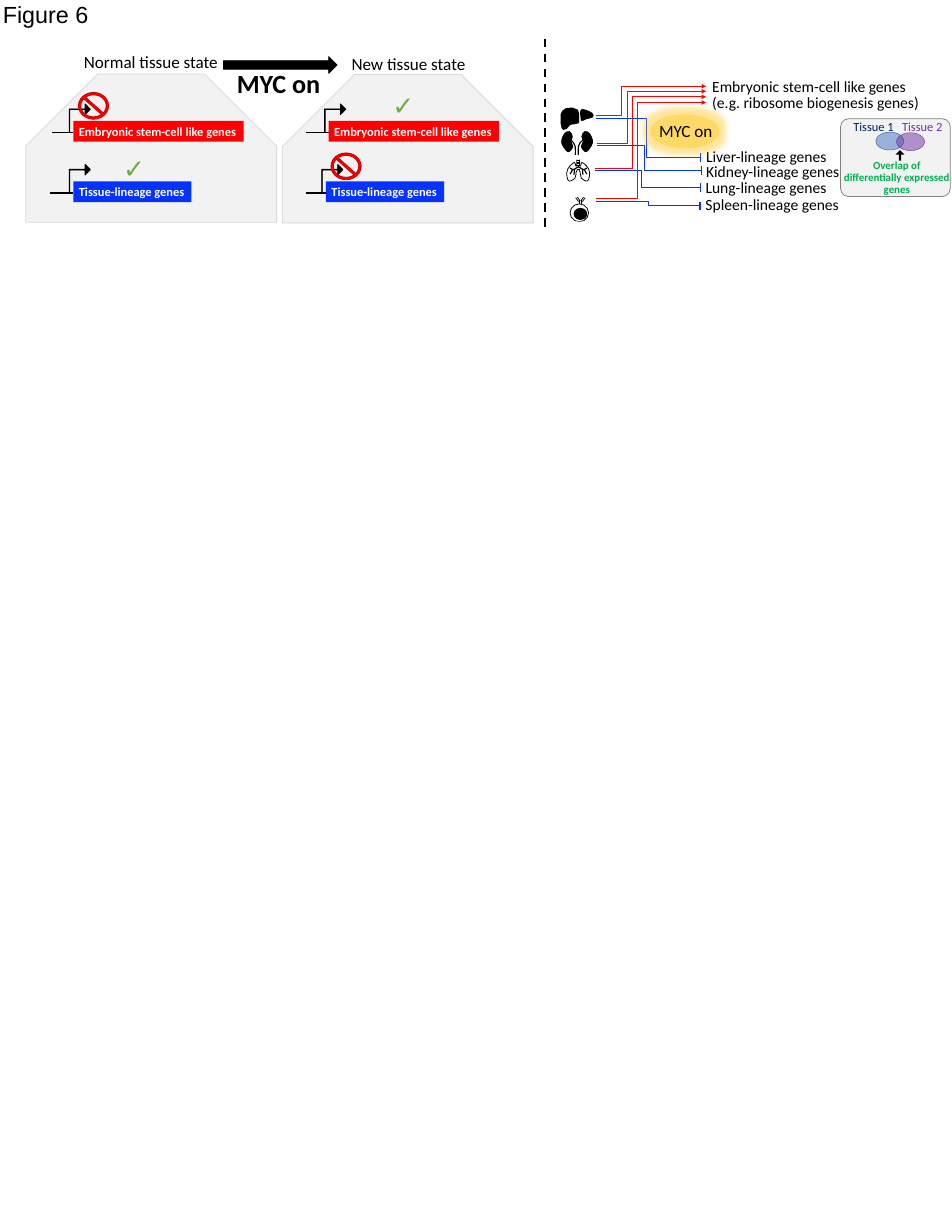
from dataclasses import dataclass

from lxml import etree
from pptx import Presentation
from pptx.dml.color import RGBColor
from pptx.enum.dml import MSO_LINE
from pptx.enum.shapes import MSO_CONNECTOR, MSO_SHAPE
from pptx.enum.text import MSO_ANCHOR, MSO_AUTO_SIZE, PP_ALIGN
from pptx.oxml.ns import qn
from pptx.util import Pt

PX = 9144
STRAIGHT, ELBOW = MSO_CONNECTOR.STRAIGHT, MSO_CONNECTOR.ELBOW
LEFT, CENTER = PP_ALIGN.LEFT, PP_ALIGN.CENTER
TOP, GROW, DASH = MSO_ANCHOR.TOP, MSO_AUTO_SIZE.SHAPE_TO_FIT_TEXT, MSO_LINE.DASH
OVAL, RECTANGLE, CHORD = MSO_SHAPE.OVAL, MSO_SHAPE.RECTANGLE, MSO_SHAPE.CHORD
ROUNDED, SNIPPED = MSO_SHAPE.ROUNDED_RECTANGLE, MSO_SHAPE.SNIP_2_SAME_RECTANGLE
BENT_ARROW, STOP = MSO_SHAPE.BENT_UP_ARROW, MSO_SHAPE.NO_SYMBOL
RIGHT_ARROW, DOWN_ARROW = MSO_SHAPE.RIGHT_ARROW, MSO_SHAPE.DOWN_ARROW


@dataclass(frozen=True)
class Theme:
    """Colours, fonts and type sizes of the figure."""
    black: str = "000000"
    white: str = "FFFFFF"
    panel: str = "F2F2F2"
    panel_edge: str = "D9D9D9"
    inset_edge: str = "808080"
    red: str = "FF0000"
    dark_red: str = "C00000"
    blue: str = "0432FF"
    gold: str = "FFD966"
    glow: str = "FFC000"
    check: str = "70AD47"
    overlap: str = "00B050"
    navy: str = "002060"
    purple: str = "7030A0"
    venn_blue: str = "4472C4"
    venn_edge: str = "2F5597"
    title_font: str = "Arial"
    font: str = "Calibri"
    title: float = 30
    large: float = 33.7
    heading: float = 22
    label: float = 20
    small: float = 16
    note: float = 14


THEME = Theme()
LIVER = [(1006, 232), (1003, 229), (1001, 220), (1001, 204), (1004, 198), (1011, 193),
         (1022, 192), (1032, 196), (1034, 202), (1034, 220), (1026, 222), (1022, 222),
         (1017, 224), (1016, 226), (1013, 229), (1013, 230)]
LIVER_LOBE = [(1038, 196), (1041, 194), (1053, 199), (1057, 202), (1060, 204), (1060, 208),
              (1058, 209), (1057, 211), (1050, 210), (1047, 212), (1044, 213), (1038, 217),
              (1038, 217), (1036, 217), (1039, 219), (1038, 216), (1038, 213), (1035, 199),
              (1038, 196)]
KIDNEY = [(1019, 252), (1019, 249), (1023, 247), (1022, 244), (1022, 241), (1019, 236),
          (1017, 235), (1014, 235), (1010, 235), (1008, 239), (1006, 242), (1002, 249),
          (1003, 255), (1004, 260), (1011, 270), (1014, 271), (1018, 272), (1022, 264),
          (1023, 262), (1024, 259), (1019, 255), (1019, 252)]
URETER = [(1019, 250), (1022, 253), (1026, 255), (1027, 261), (1028, 267), (1027, 286), (1027, 286)]
LUNG = [(1030, 285), (1030, 290), (1030, 294), (1030, 296), (1030, 298), (1028, 297),
        (1028, 296), (1027, 295), (1028, 290), (1026, 290), (1025, 290), (1020, 293),
        (1018, 296), (1015, 299), (1012, 304), (1012, 309), (1012, 313), (1013, 322),
        (1016, 323), (1018, 325), (1025, 320), (1027, 318), (1029, 315), (1028, 309),
        (1029, 307), (1030, 304), (1032, 302), (1032, 302)]
BRONCHI = [(1033, 298, 1022, 304), (1022, 304, 1018, 311), (1026, 302, 1025, 312),
           (1018, 300, 1023, 303)]
VESSELS = [(1035, 364, 1035, 357), (1036, 359, 1031, 352), (1033, 360, 1028, 353)]
TISSUES = [("Liver", (1064, 206, 1261, 154), 1109, (1064, 211, 1250, 282), 1155,
            (1251, 274), (1251, 258, 238, 44)),
           ("Kidney", (1066, 256, 1261, 163), 1120, (1066, 260, 1252, 305), 1150,
            (1252, 297), (1251, 284, 260, 44)),
           ("Lung", (1062, 301, 1261, 173), 1129, (1062, 305, 1250, 335), 1146,
            (1251, 327), (1250, 312, 238, 44)),
           ("Spleen", (1064, 354, 1261, 183), 1139, (1064, 359, 1250, 366), 1157,
            (1250, 360), (1250, 344, 267, 44))]


def px(*lengths):
    """Turn px into EMU."""
    return [length * PX for length in lengths]


def paint(shape, fill, edge, width):
    """Set the fill and line of a shape and drop its shadow."""
    shape.shadow.inherit = False
    if fill:
        shape.fill.solid()
        shape.fill.fore_color.rgb = RGBColor.from_string(fill)
    else:
        shape.fill.background()
    if edge:
        shape.line.color.rgb = RGBColor.from_string(edge)
        shape.line.width = Pt(width)
    else:
        shape.line.fill.background()


def add_preset(page, kind, at, fill, edge=None, width=1, adjust=(), turn=0):
    """Add a preset shape."""
    shape = page.shapes.add_shape(kind, *px(*at))
    paint(shape, fill, edge, width)
    for index, value in enumerate(adjust):
        shape.adjustments[index] = value
    shape.rotation = turn
    return shape


def add_alpha(color, percent):
    """Make a colour element partly transparent."""
    etree.SubElement(color, qn("a:alpha")).set("val", str(percent * 1000))


def add_glow(shape, color, radius):
    """Put a soft glow around a shape."""
    effects = shape.element.spPr.find(qn("a:effectLst"))
    glow = etree.SubElement(effects, qn("a:glow"), rad=str(radius * PX))
    add_alpha(etree.SubElement(glow, qn("a:srgbClr"), val=color), 40)


def add_line(page, ends, color=THEME.black, width=1.0, middle=None, arrow=False):
    """Add a straight line, or an elbow that turns at the middle x."""
    line = page.shapes.add_connector(ELBOW if middle else STRAIGHT, *px(*ends))
    line.line.color.rgb = RGBColor.from_string(color)
    line.line.width = Pt(width)
    properties = line.element.spPr
    if middle:
        share = round((middle - ends[0]) / (ends[2] - ends[0]) * 100000)
        guides = properties.find(qn("a:prstGeom")).get_or_add_avLst()
        etree.SubElement(guides, qn("a:gd"), name="adj1", fmla=f"val {share}")
    if arrow:
        etree.SubElement(properties.find(qn("a:ln")), qn("a:tailEnd"), type="triangle")
    etree.SubElement(properties, qn("a:effectLst"))
    return line


def add_outline(page, points, fill=None, edge=None, width=1, close=False):
    """Add a freeform through points."""
    builder = page.shapes.build_freeform(*points[0], scale=PX)
    builder.add_line_segments(points[1:], close=close)
    shape = builder.convert_to_shape()
    paint(shape, fill, edge, width)
    return shape


def add_curve(page, points, **style):
    """Add a freeform whose points are a chain of cubic curves."""
    shape = add_outline(page, points, **style)
    segments = list(shape.element.spPr.iter(qn("a:lnTo")))
    for first in range(0, len(segments), 3):
        bend = etree.Element(qn("a:cubicBezTo"))
        segments[first].addprevious(bend)
        for segment in segments[first:first + 3]:
            bend.append(segment[0])
            segment.getparent().remove(segment)


def mirrored(points, total):
    """Reflect points so that each x and its image add up to total."""
    return [(total - x, y) for x, y in points]


def format_text(box, size, color, bold=False, font=THEME.font, align=LEFT, leading=None):
    """Format the frame, paragraphs and runs of a text shape."""
    frame = box.text_frame
    frame.word_wrap = False
    frame.auto_size = GROW
    frame.vertical_anchor = TOP
    for para in frame.paragraphs:
        para.alignment = align
        if leading:
            para.line_spacing = Pt(leading)
        for span in para.runs:
            span.font.name, span.font.size, span.font.bold = font, Pt(size), bold
            span.font.color.rgb = RGBColor.from_string(color)


def add_text(page, at, text, size, color=THEME.black, fill=None, **style):
    """Add a text box, filled if a fill is given."""
    box = page.shapes.add_textbox(*px(*at))
    box.text_frame.text = text
    if fill:
        box.fill.solid()
        box.fill.fore_color.rgb = RGBColor.from_string(fill)
    format_text(box, size, color, **style)


def add_gene(page, start, left, top, width, text, fill):
    """Add a gene label with its promoter line and bent arrow."""
    add_line(page, (start, top + 21, left, top + 21), width=2)
    arrow = add_preset(page, BENT_ARROW, (left - 14, top - 24, 51, 38), THEME.black,
                       THEME.black, adjust=(0.031, 0.25, 0.25), turn=90)
    arrow.element.spPr.get_or_add_xfrm().set("flipH", "1")
    add_text(page, (left, top, width, 37), text, THEME.small, THEME.white, fill, bold=True)


def add_states(page):
    """Add the two tissue states and the switch between them."""
    for left, top in ((46, 132), (504, 133)):
        add_preset(page, SNIPPED, (left, top, 448, 265), THEME.panel, THEME.panel_edge,
                   adjust=(0.486, 0))
    for start, left in ((90, 131), (546, 582)):
        add_gene(page, start, left, 324, 211, "Tissue-lineage genes", THEME.blue)
    for start, left in ((93, 131), (546, 587)):
        add_gene(page, start, left, 216, 304, "Embryonic stem-cell like genes", THEME.red)
    add_text(page, (140, 87, 262, 47), "Normal tissue state", THEME.heading)
    add_text(page, (618, 90, 226, 47), "New tissue state", THEME.heading)
    add_preset(page, RIGHT_ARROW, (399, 101, 203, 30), THEME.black, THEME.black)
    add_text(page, (413, 115, 171, 67), "MYC on", THEME.large, bold=True)
    for left, top in ((210, 267), (691, 154)):
        add_text(page, (left, top, 56, 67), "✓", THEME.large, THEME.check)
    for left, top in ((140, 165), (591, 273)):
        add_preset(page, STOP, (left, top, 54, 48), THEME.red, THEME.dark_red, adjust=(0.09,))


def add_targets(page):
    """Link each tissue to the genes that MYC turns on and off."""
    for name, on_ends, on_middle, off_ends, off_middle, (bar_x, bar_y), label_at in TISSUES:
        add_line(page, off_ends, THEME.blue, middle=off_middle)
        add_line(page, on_ends, THEME.red, middle=on_middle, arrow=True)
        add_line(page, (bar_x, bar_y, bar_x, bar_y + 15), THEME.blue, 1.5)
        add_text(page, label_at, f"{name}-lineage genes", THEME.label)
    add_text(page, (1262, 138, 393, 67),
             "Embryonic stem-cell like genes\n(e.g. ribosome biogenesis genes)",
             THEME.label, leading=20.4)
    add_glow(add_preset(page, OVAL, (1161, 204, 124, 61), THEME.gold), THEME.glow, 22)
    add_text(page, (1167, 210, 116, 47), "MYC on", THEME.heading)


def add_organs(page):
    """Draw the liver, kidneys, lungs and spleen."""
    black, white = THEME.black, THEME.white
    add_outline(page, LIVER, black, close=True)
    add_curve(page, LIVER_LOBE, fill=black, edge=black, close=True)
    add_preset(page, RECTANGLE, (1036, 216, 10, 5), white)
    for kidney in (KIDNEY, mirrored(KIDNEY, 2061)):
        add_curve(page, kidney, fill=black, edge=black, close=True)
    for ureter in (URETER, mirrored(URETER, 2060)):
        add_curve(page, ureter, edge=black, width=1.5)
    add_preset(page, RECTANGLE, (1023, 278, 17, 13), white, white)
    for lung in (LUNG, mirrored(LUNG, 2065)):
        add_curve(page, lung, edge=black)
    for height in (287, 290, 292, 295, 302):
        add_line(page, (1030, height, 1035, height))
    add_line(page, (1033, 295, 1033, 299), width=1.5)
    add_preset(page, OVAL, (1018, 364, 33, 32), white, black)
    add_preset(page, OVAL, (1025, 372, 23, 20), black, black)
    for branches, total, width in ((BRONCHI, 2066, 1.5), (VESSELS, 2073, 1)):
        for x1, y1, x2, y2 in branches:
            add_line(page, (x1, y1, x2, y2), width=width)
            add_line(page, (total - x1, y1, total - x2, y2), width=width)
    add_preset(page, CHORD, (993, 382, 51, 33), white, white, turn=332.4)
    add_preset(page, CHORD, (1011, 386, 51, 33), white, turn=295.9)


def add_venn(page):
    """Add the inset on overlapping genes."""
    add_preset(page, ROUNDED, (1501, 212, 196, 139), THEME.panel, THEME.inset_edge,
               adjust=(0.105,))
    add_text(page, (1514, 208, 93, 37), "Tissue 1", THEME.small, THEME.navy)
    add_text(page, (1601, 208, 93, 37), "Tissue 2", THEME.small, THEME.purple)
    add_text(page, (1496, 282, 211, 73), "Overlap of\vdifferentially expressed\ngenes",
             THEME.note, THEME.overlap, bold=True, align=CENTER, leading=14.8)
    add_preset(page, DOWN_ARROW, (1599, 268, 16, 19), THEME.black, adjust=(0.246, 0.5), turn=180)
    for left, top, fill, edge in ((1564, 236, THEME.venn_blue, THEME.venn_edge),
                                  (1601, 237, THEME.purple, THEME.purple)):
        circle = add_preset(page, OVAL, (left, top, 50, 32), fill, edge, 0.5)
        add_alpha(circle.element.spPr.find(f"{qn('a:solidFill')}/{qn('a:srgbClr')}"), 50)


def main():
    """Build the deck and save it."""
    deck = Presentation()
    deck.slide_width, deck.slide_height = px(1700, 2200)
    page = deck.slides.add_slide(deck.slide_layouts[5])
    title = page.shapes.title
    title.left, title.top, title.width, title.height = px(-5, -5, 174, 61)
    title.text_frame.text = "Figure 6"
    format_text(title, THEME.title, THEME.black, font=THEME.title_font)
    add_states(page)
    add_line(page, (974, 69, 974, 413), width=2.75).line.dash_style = DASH
    add_targets(page)
    add_organs(page)
    add_venn(page)
    deck.save("out.pptx")


if __name__ == "__main__":
    main()
